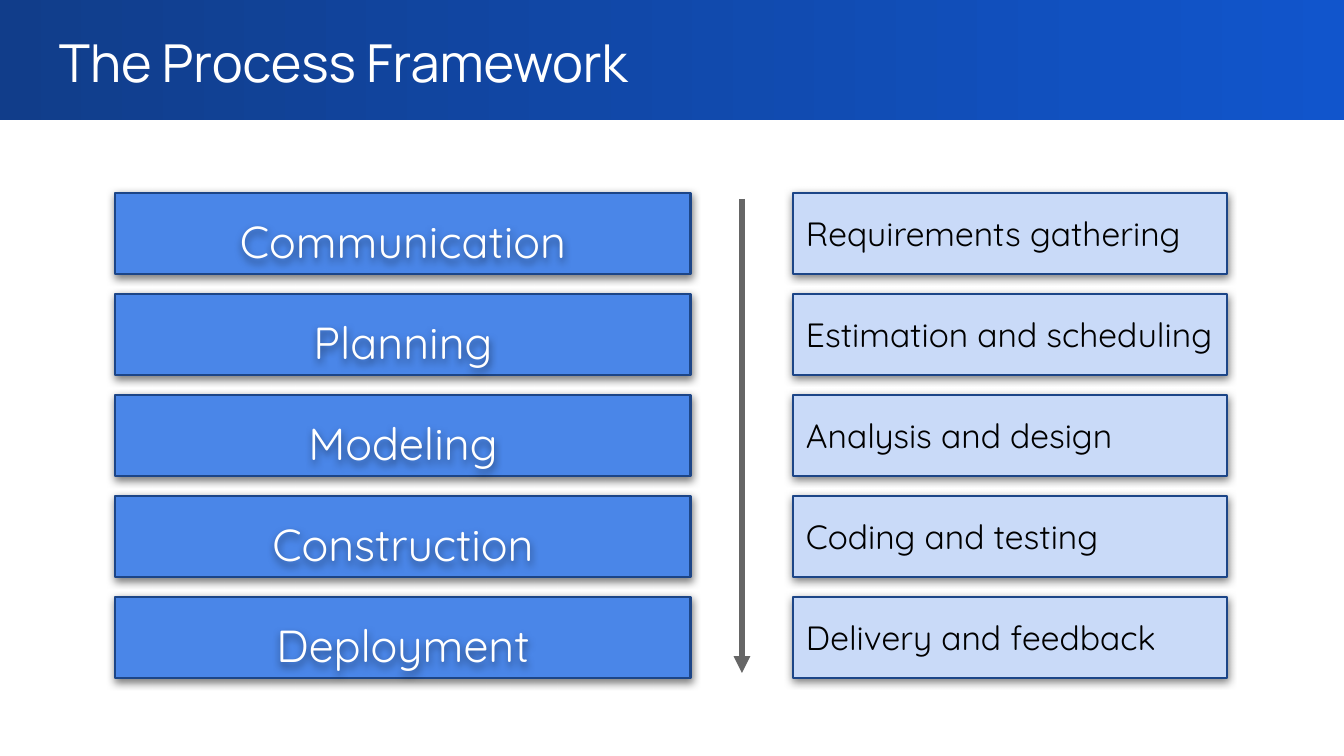
from lxml.etree import SubElement
from pptx import Presentation
from pptx.dml.color import RGBColor
from pptx.enum.shapes import MSO_CONNECTOR, MSO_SHAPE
from pptx.enum.text import MSO_ANCHOR, PP_ALIGN
from pptx.oxml.ns import qn
from pptx.util import Pt

EMU_PER_PX = 9144000 / 1344

WHITE = RGBColor(0xFF, 0xFF, 0xFF)
BLACK = RGBColor(0x00, 0x00, 0x00)
GREY = RGBColor(0x66, 0x66, 0x66)
BRIGHT = RGBColor(0x11, 0x55, 0xCC)
DEEP = RGBColor(0x11, 0x3D, 0x8A)
NAVY = RGBColor(0x1C, 0x45, 0x87)
BLUE = RGBColor(0x4A, 0x86, 0xE8)
PALE = RGBColor(0xC9, 0xDA, 0xF8)

STAGES = [
    ("Communication", "Requirements gathering"),
    ("Planning", "Estimation and scheduling"),
    ("Modeling", "Analysis and design"),
    ("Construction", "Coding and testing"),
    ("Deployment", "Delivery and feedback"),
]
ROW_TOP, ROW_STEP, ROW_H = 193, 101, 81
STAGE_X, STAGE_W = 115, 576
TASK_X, TASK_W = 793, 434
ARROW_X, ARROW_TOP, ARROW_END = 742, 199, 673
INSET = 13


def px(*values):
    return [round(v * EMU_PER_PX) for v in values]


def write(sp, text, font="Quicksand", size=18, color=BLACK, align=PP_ALIGN.LEFT,
          anchor=MSO_ANCHOR.TOP, spacing=None, after=None):
    tf = sp.text_frame
    tf.word_wrap = True
    tf.vertical_anchor = anchor
    tf.margin_left, tf.margin_top, tf.margin_right, tf.margin_bottom = px(*[INSET] * 4)
    p = tf.paragraphs[0]
    p.alignment = align
    p.line_spacing = spacing
    p.space_after = after
    r = p.add_run()
    r.text = text
    r.font.name = font
    r.font.size = Pt(size)
    r.font.color.rgb = color


def cast_shadow(sp):
    sp.shadow.inherit = False
    effects = sp._element.spPr.find(qn("a:effectLst"))
    shadow = SubElement(effects, qn("a:outerShdw"), blurRad=str(Pt(4.5)),
                        dist=str(Pt(1.5)), dir="5400000", algn="bl", rotWithShape="0")
    color = SubElement(shadow, qn("a:srgbClr"), val=str(BLACK))
    SubElement(color, qn("a:alpha"), val="50000")


class Deck:
    def __init__(self, width, height):
        self.prs = Presentation()
        self.prs.slide_width, self.prs.slide_height = px(width, height)
        self.s = self.prs.slides.add_slide(self.prs.slide_layouts[6])

    def banner(self, x, y, w, h):
        sp = self.s.shapes.add_shape(MSO_SHAPE.RECTANGLE, *px(x, y, w, h))
        sp.shadow.inherit = False
        sp.line.fill.background()
        sp.fill.gradient()
        sp.fill.gradient_angle = 180
        for stop, color in zip(sp.fill.gradient_stops, (BRIGHT, DEEP)):
            stop.color.rgb = color

    def box(self, x, y, w, h, fill, line_width):
        sp = self.s.shapes.add_shape(MSO_SHAPE.RECTANGLE, *px(x, y, w, h))
        sp.fill.solid()
        sp.fill.fore_color.rgb = fill
        sp.line.color.rgb = NAVY
        sp.line.width = Pt(line_width)
        cast_shadow(sp)
        return sp

    def label(self, x, y, w, h, text, **style):
        sp = self.s.shapes.add_textbox(*px(x, y, w, h))
        write(sp, text, **style)
        return sp

    def arrow(self, x1, y1, x2, y2):
        sp = self.s.shapes.add_connector(MSO_CONNECTOR.STRAIGHT, *px(x1, y1, x2, y2))
        sp.line.color.rgb = GREY
        sp.line.width = Pt(3)
        spPr = sp._element.spPr
        SubElement(spPr.find(qn("a:ln")), qn("a:tailEnd"), type="triangle")
        SubElement(spPr, qn("a:effectLst"))


def main():
    deck = Deck(1344, 756)
    deck.banner(0, 0, 1344, 120)
    deck.label(46, 17, 1253, 91, "The Process Framework",
               font="Manrope", size=28, color=WHITE)
    for i, (stage, task) in enumerate(STAGES):
        y = ROW_TOP + i * ROW_STEP
        deck.box(STAGE_X, y, STAGE_W, ROW_H, BLUE, 1.5)
        name = deck.label(STAGE_X, y, STAGE_W, ROW_H, stage, size=24, color=WHITE,
                          align=PP_ALIGN.CENTER, spacing=1.15, after=Pt(16))
        cast_shadow(name)
        sp = deck.box(TASK_X, y, TASK_W, ROW_H, PALE, 0.75)
        write(sp, task, anchor=MSO_ANCHOR.MIDDLE)
    deck.arrow(ARROW_X, ARROW_TOP, ARROW_X, ARROW_END)
    deck.prs.save("out.pptx")


if __name__ == "__main__":
    main()
